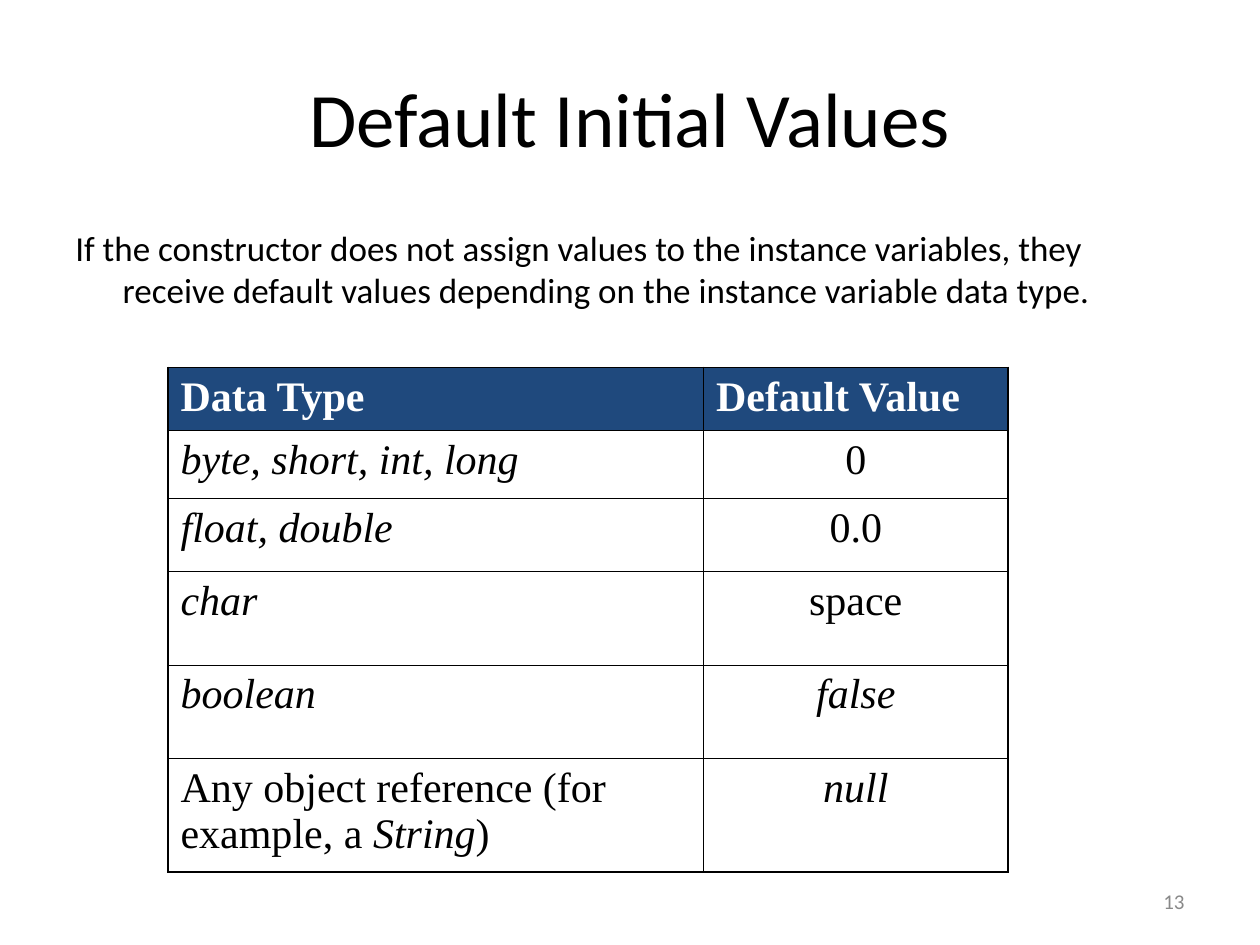
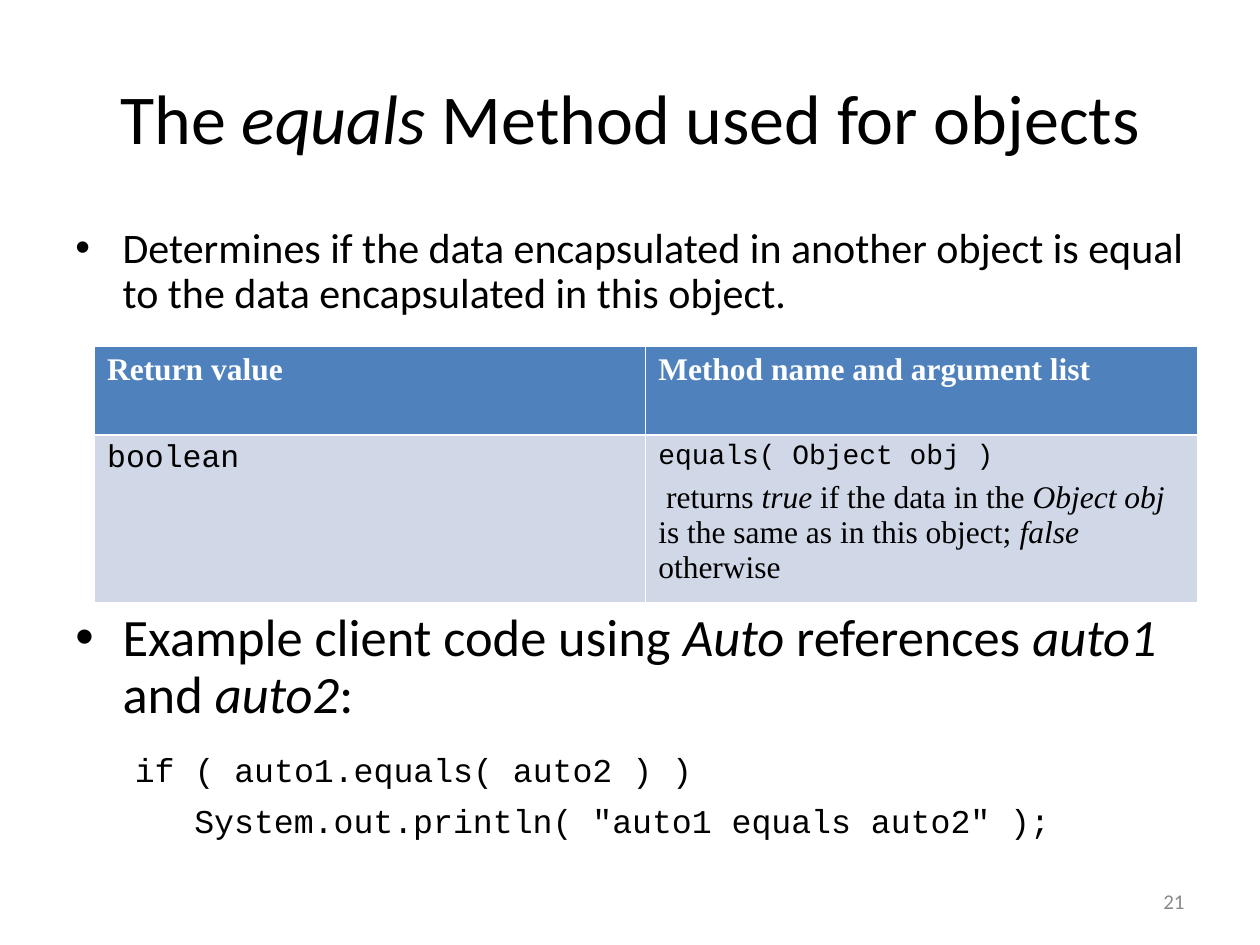
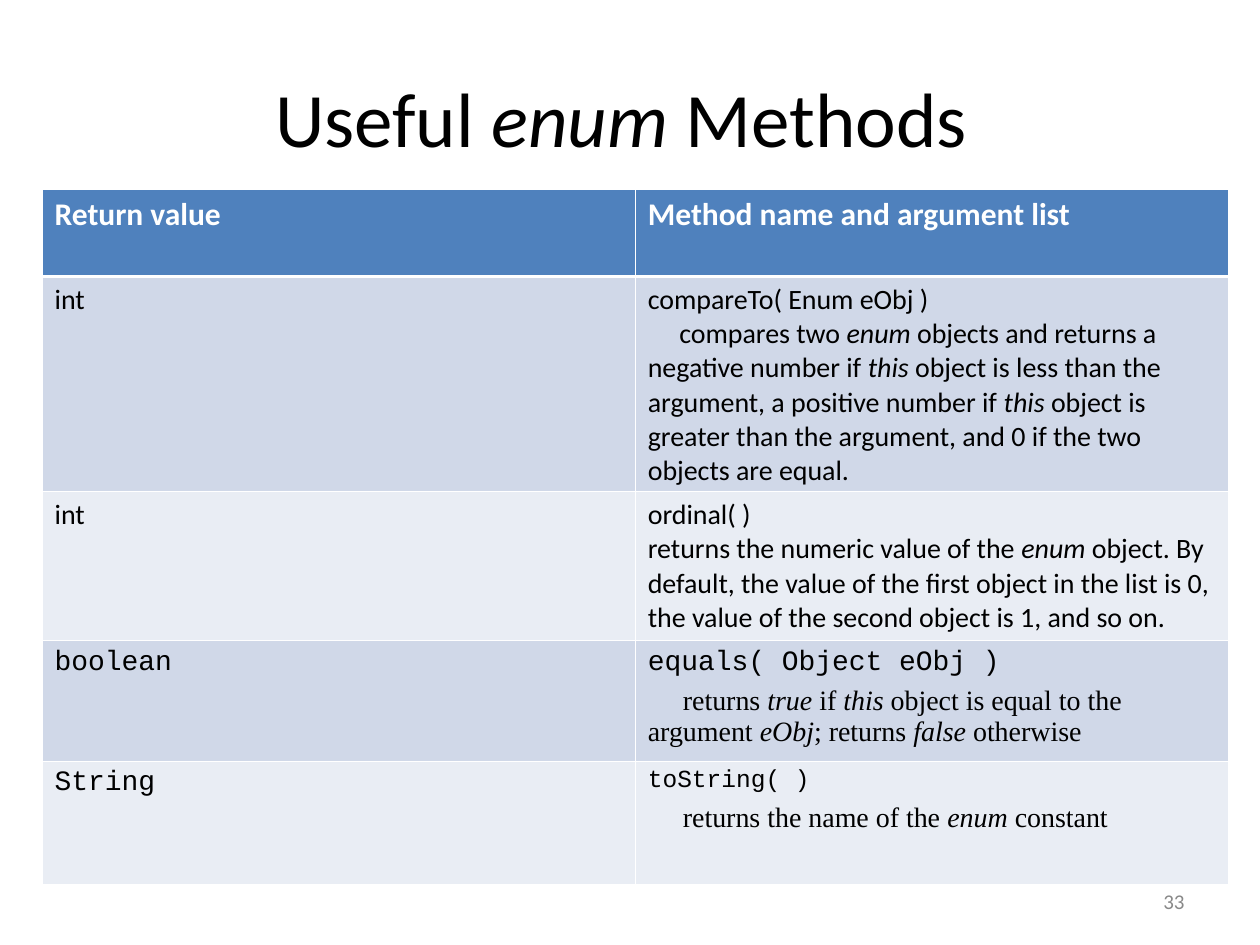
from dataclasses import dataclass
from typing import Optional

from lxml import etree
from pptx import Presentation
from pptx import util as u
from pptx.dml.color import RGBColor
from pptx.enum import text
from pptx.oxml import ns

Pt = u.Pt
BLACK, WHITE, GREY = "000000", "FFFFFF", "898989"
NAVY, BLUE, BAND_DARK, BAND_LIGHT = "1F497D", "4F81BD", "D0D8E8", "E9EDF4"
SANS, SERIF, MONO = "Calibri", "Times New Roman", "Courier New"
LEFT, CENTER, RIGHT = text.PP_ALIGN.LEFT, text.PP_ALIGN.CENTER, text.PP_ALIGN.RIGHT
TITLE_BOX = (36, 21.6, 648, 90)
BODY_BOX = (36, 126, 648, 356.4)
NUMBER_BOX = (516, 500.4, 168, 28.8)


@dataclass(frozen=True)
class Para:
    text: str
    size: float
    font: str = SANS
    color: str = BLACK
    bold: bool = False
    align: text.PP_ALIGN = LEFT
    before: float = 0
    spacing: Optional[float] = None
    margin: float = 0
    indent: float = 0
    bullet: bool = False


@dataclass(frozen=True)
class Grid:
    left: float
    top: float
    cols: list[float]
    rows: list[float]
    cells: list[list[list[Para]]]
    head_fill: str
    bands: list[Optional[str]]
    line: str
    thin: float = 0.45
    outer: float = 0.45
    under_head: float = 0.45


def rgb(value: str) -> RGBColor:
    return RGBColor.from_string(value)


def add_xml(parent, tag: str, **attrs: str):
    return etree.SubElement(parent, ns.qn(tag), attrs)


def write(tf, paras: list[Para]) -> None:
    """Text between asterisks is set in italics."""
    for i, para in enumerate(paras):
        p = tf.paragraphs[0] if i == 0 else tf.add_paragraph()
        p.alignment = para.align
        p.space_before = Pt(para.before)
        if para.spacing:
            p.line_spacing = para.spacing
        pPr = p._p.get_or_add_pPr()
        pPr.set("marL", str(Pt(para.margin)))
        pPr.set("indent", str(Pt(para.indent)))
        if para.bullet:
            add_xml(pPr, "a:buFont", typeface="Arial")
            add_xml(pPr, "a:buChar", char="•")
        for j, part in enumerate(para.text.split("*")):
            if not part:
                continue
            r = p.add_run()
            r.text = part
            r.font.name = para.font
            r.font.size = Pt(para.size)
            r.font.bold = para.bold
            r.font.italic = j % 2 == 1
            r.font.color.rgb = rgb(para.color)


def add_text(s, box: tuple, paras: list[Para], anchor=text.MSO_ANCHOR.TOP) -> None:
    tf = s.shapes.add_textbox(*map(Pt, box)).text_frame
    tf.word_wrap = True
    tf.vertical_anchor = anchor
    write(tf, paras)


def add_slide(prs, title: str, size: float, number: str):
    s = prs.slides.add_slide(prs.slide_layouts[5])
    sp = s.shapes.title
    sp.left, sp.top, sp.width, sp.height = map(Pt, TITLE_BOX)
    sp.text_frame.vertical_anchor = text.MSO_ANCHOR.MIDDLE
    write(sp.text_frame, [Para(title, size, align=CENTER)])
    add_text(s, NUMBER_BOX, [Para(number, 12, color=GREY, align=RIGHT)], text.MSO_ANCHOR.MIDDLE)
    return s


def set_borders(cell, widths: dict[str, float], color: str) -> None:
    tcPr = cell._tc.get_or_add_tcPr()
    for i, (side, width) in enumerate(widths.items()):
        ln = etree.Element(ns.qn(f"a:ln{side}"), w=str(Pt(width)))
        add_xml(add_xml(ln, "a:solidFill"), "a:srgbClr", val=color)
        tcPr.insert(i, ln)


def add_grid(s, g: Grid) -> None:
    box = (g.left, g.top, sum(g.cols), sum(g.rows))
    tbl = s.shapes.add_table(len(g.rows), len(g.cols), *map(Pt, box)).table
    tbl.first_row = tbl.horz_banding = False
    for col, width in zip(tbl.columns, g.cols):
        col.width = Pt(width)
    for row, height in zip(tbl.rows, g.rows):
        row.height = Pt(height)
    across = [g.outer] + [g.thin] * (len(g.cols) - 1) + [g.outer]
    down = [g.outer, g.under_head] + [g.thin] * (len(g.rows) - 2) + [g.outer]
    for i, row in enumerate(g.cells):
        fill = g.head_fill if i == 0 else g.bands[(i - 1) % len(g.bands)]
        for j, paras in enumerate(row):
            cell = tbl.cell(i, j)
            write(cell.text_frame, paras)
            if fill:
                cell.fill.solid()
                cell.fill.fore_color.rgb = rgb(fill)
            else:
                cell.fill.background()
            sides = {"L": across[j], "R": across[j + 1], "T": down[i], "B": down[i + 1]}
            set_borders(cell, sides, g.line)


def heads(labels: list[str], size: float, font: str, before: float = 0) -> list[list[Para]]:
    return [[Para(label, size, font, WHITE, True, before=before)] for label in labels]


def default_values(prs) -> None:
    s = add_slide(prs, "Default Initial Values", 44, "13")
    add_text(s, BODY_BOX, [Para(
        "If the constructor does not assign values to the instance variables, they receive "
        "default values depending on the instance variable data type.",
        20, before=5, margin=27, indent=-27)])
    defaults = [
        ("*byte, short, int, long*", "0"),
        ("*float, double*", "0.0"),
        ("*char*", "space"),
        ("*boolean*", "*false*"),
        ("Any object reference (for example, a *String*)", "*null*"),
    ]
    rows = [[[Para(kind, 24, SERIF, before=6)],
             [Para(value, 24, SERIF, align=CENTER, before=6)]] for kind, value in defaults]
    add_grid(s, Grid(
        96, 210, [306, 174], [36, 39, 41.5, 53.5, 53.5, 65],
        [heads(["Data Type", "Default Value"], 24, SERIF, 6)] + rows,
        NAVY, [None], BLACK, outer=1.08))


METHOD_HEADS = ["Return value", "Method name and argument list"]


def equals_method(prs) -> None:
    s = add_slide(prs, "The *equals* Method used for objects", 40, "21")
    add_text(s, BODY_BOX, [
        Para("Determines if the data encapsulated in another object is equal to the data "
             "encapsulated in this object.",
             24, before=6, spacing=0.9, margin=27, indent=-27, bullet=True),
        Para("Example client code using *Auto *references *auto1* and *auto2*:",
             30, before=168, spacing=0.9, margin=27, indent=-27, bullet=True),
        Para("if ( auto1.equals( auto2 ) )", 19, MONO, before=16.5, spacing=0.9, margin=34),
        Para('System.out.println( "auto1 equals auto2" );', 19, MONO,
             before=8.5, spacing=0.9, margin=68),
    ])
    add_grid(s, Grid(
        54, 198, [315, 315], [50.5, 96],
        [heads(METHOD_HEADS, 18, SERIF),
         [[Para("boolean", 18, MONO)],
          [Para("equals( Object obj )", 16, MONO, before=4),
           Para(" returns *true* if the data in the *Object obj* is the same as in this "
                "object;* false* otherwise", 18, SERIF, before=4.5)]]],
        BLUE, [BAND_DARK], WHITE, under_head=1.47))


def enum_methods(prs) -> None:
    s = add_slide(prs, "Useful *enum* Methods ", 44, "33")
    add_grid(s, Grid(
        24, 108, [339, 339], [50, 123, 85, 69, 70.5],
        [heads(METHOD_HEADS, 18, SANS),
         [[Para("int", 16)],
          [Para("compareTo( Enum eObj )", 16),
           Para("compares two *enum* objects and returns a negative number if *this *object "
                "is less than the argument, a positive number if *this* object is greater "
                "than the argument, and 0 if the two objects are equal.", 16, indent=18)]],
         [[Para("int", 16)],
          [Para("ordinal( )", 16),
           Para("returns the numeric value of the *enum* object. By default, the value of "
                "the first object in the list is 0, the value of the second object is 1, "
                "and so on.", 16)]],
         [[Para("boolean", 16, MONO)],
          [Para("equals( Object eObj )", 16, MONO, before=4),
           Para("returns* true *if *this* object is equal to the argument *eObj*; returns "
                "*false* otherwise", 16, SERIF, before=4, indent=20)]],
         [[Para("String", 16, MONO)],
          [Para("toString( )", 14, MONO, before=3.5),
           Para("returns the name of the *enum *constant", 16, SERIF, before=4, indent=20)]]],
        BLUE, [BAND_DARK, BAND_LIGHT], WHITE, under_head=1.47))


def main() -> None:
    prs = Presentation()
    prs.slide_width, prs.slide_height = Pt(720), Pt(540)
    default_values(prs)
    equals_method(prs)
    enum_methods(prs)
    prs.save("out.pptx")


if __name__ == "__main__":
    main()
